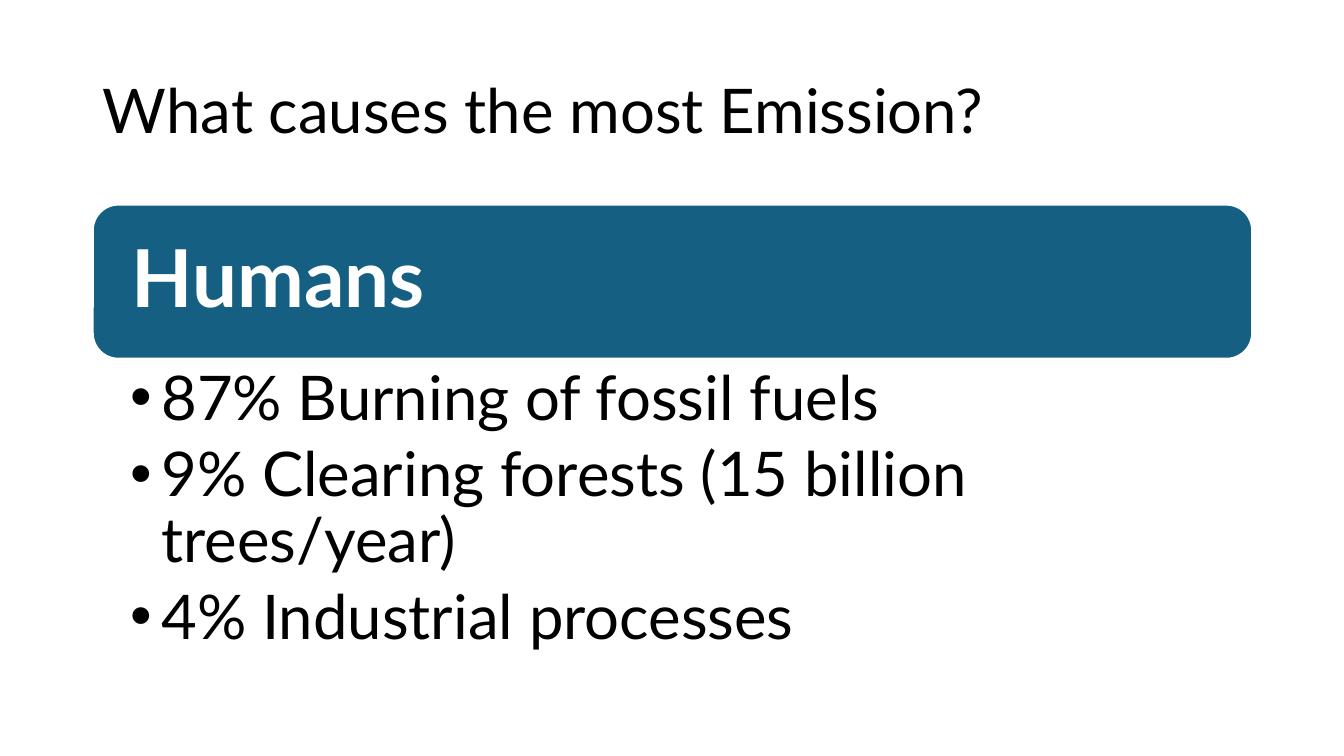
from lxml import etree
from pptx import Presentation
from pptx.dml.color import RGBColor
from pptx.enum.shapes import MSO_SHAPE
from pptx.enum.text import MSO_ANCHOR, MSO_AUTO_SIZE, PP_ALIGN
from pptx.oxml.ns import qn
from pptx.util import Pt

EMU_PER_PX = 9144  # 100 px to the inch
ROUNDED = MSO_SHAPE.ROUNDED_RECTANGLE
TOP, MIDDLE = MSO_ANCHOR.TOP, MSO_ANCHOR.MIDDLE
LEFT_ALIGNED = PP_ALIGN.LEFT
NO_AUTOFIT = MSO_AUTO_SIZE.NONE

BLACK = RGBColor(0x00, 0x00, 0x00)
WHITE = RGBColor(0xFF, 0xFF, 0xFF)
TEAL = RGBColor(0x15, 0x60, 0x82)

FONT = "Lato"
LEFT, WIDTH = 92, 1150
BULLET_INDENT = 31
CAUSES = [
    "87% Burning of fossil fuels",
    "9% Clearing forests (15 billion trees/year)",
    "4% Industrial processes",
]


def px(length):
    return length * EMU_PER_PX


def box(top, height):
    """Bounds of a full-width block in EMU."""
    return [px(length) for length in (LEFT, top, WIDTH, height)]


def set_attributes(target, values):
    for name, value in values.items():
        setattr(target, name, value)


def write_lines(frame, lines, size, color, anchor, margins, bold=False, gap=0):
    """Fill a text frame; margins are left, top, right, bottom in px."""
    left, top, right, bottom = map(px, margins)
    set_attributes(frame, {
        "text": "\n".join(lines), "word_wrap": True, "auto_size": NO_AUTOFIT,
        "vertical_anchor": anchor, "margin_left": left, "margin_top": top,
        "margin_right": right, "margin_bottom": bottom,
    })
    for paragraph in frame.paragraphs:
        set_attributes(paragraph, {
            "alignment": LEFT_ALIGNED, "line_spacing": 0.9,
            "space_before": Pt(0), "space_after": Pt(gap),
        })
        for run in paragraph.runs:
            set_attributes(run.font, {"name": FONT, "size": Pt(size), "bold": bold})
            run.font.color.rgb = color


def add_bullet(paragraph):
    properties = paragraph._p.get_or_add_pPr()
    properties.set("marL", str(px(BULLET_INDENT)))
    properties.set("indent", str(-px(BULLET_INDENT)))
    etree.SubElement(properties, qn("a:buFont"), typeface="Arial")
    etree.SubElement(properties, qn("a:buChar"), char="•")


def add_title(slide, text):
    title = slide.shapes.title
    bounds = zip(("left", "top", "width", "height"), box(40, 145))
    set_attributes(title, dict(bounds))
    write_lines(title.text_frame, [text], 44, BLACK, MIDDLE, (10, 5, 10, 5))


def add_banner(slide, text):
    banner = slide.shapes.add_shape(ROUNDED, *box(203, 153))
    banner.shadow.inherit = False
    banner.fill.solid()
    banner.fill.fore_color.rgb = TEAL
    banner.line.color.rgb = WHITE
    banner.line.width = Pt(1.5)
    write_lines(banner.text_frame, [text], 57, WHITE, MIDDLE,
                (31, 24, 31, 24), bold=True)


def add_bullet_list(slide, lines):
    frame = slide.shapes.add_textbox(*box(356, 316)).text_frame
    write_lines(frame, lines, 44, BLACK, TOP, (37, 8, 44, 8), gap=7)
    for paragraph in frame.paragraphs:
        add_bullet(paragraph)


def main():
    deck = Presentation()
    set_attributes(deck, {"slide_width": px(1333), "slide_height": px(750)})
    slide = deck.slides.add_slide(deck.slide_layouts[5])
    add_title(slide, "What causes the most Emission?")
    add_banner(slide, "Humans")
    add_bullet_list(slide, CAUSES)
    deck.save("out.pptx")


if __name__ == "__main__":
    main()
